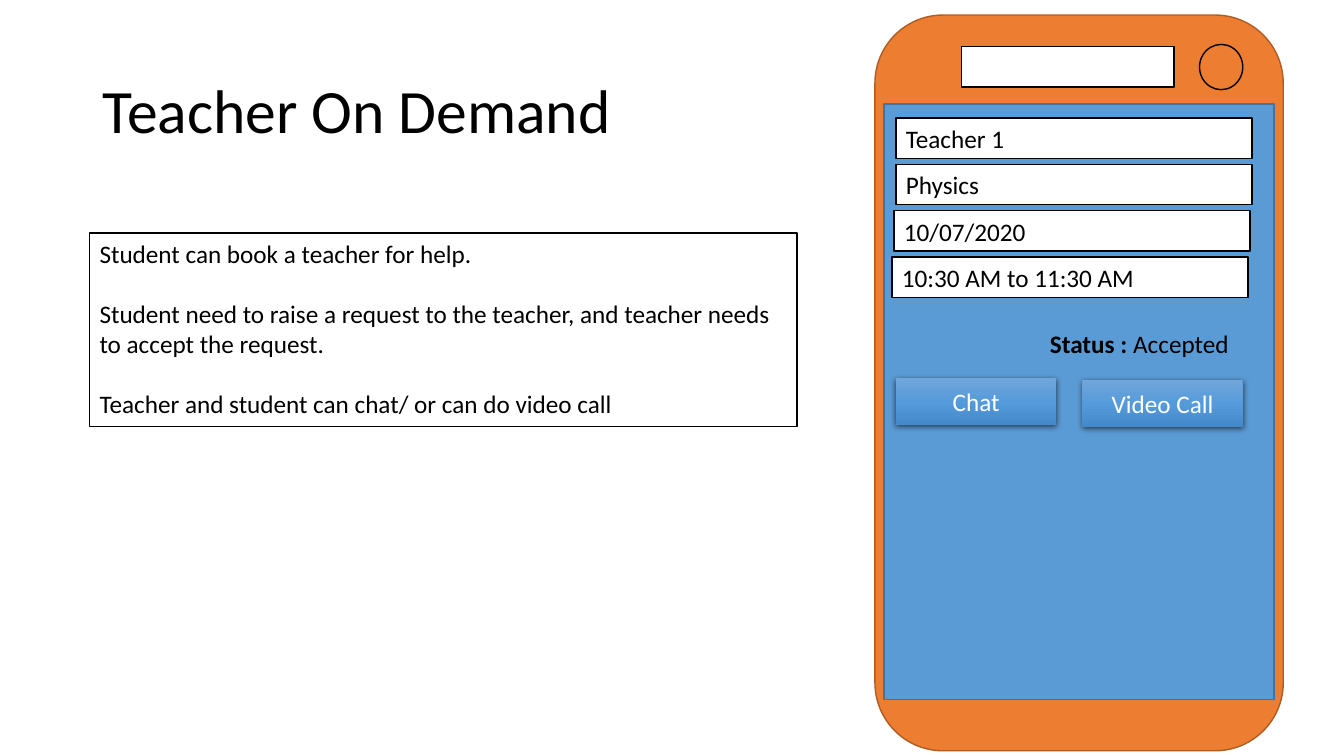
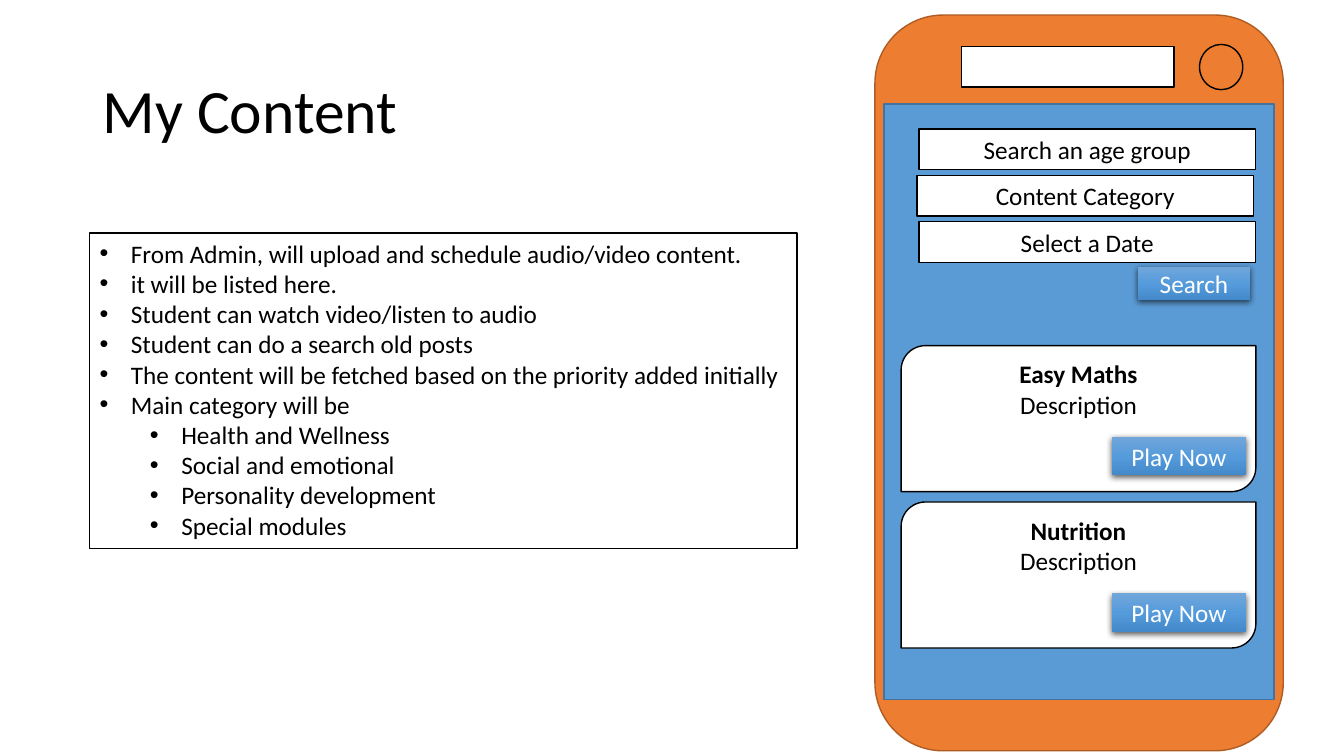
from lxml import etree
from copy import deepcopy
from pptx import Presentation
from pptx.dml.color import RGBColor
from pptx.enum.shapes import MSO_SHAPE as Shape
from pptx.enum.text import MSO_ANCHOR as Anchor, PP_ALIGN as Align
from pptx.oxml.ns import qn
from pptx.util import Cm, Pt

FONT = "Calibri"
COLORS = {
    "text": "000000", "line": "000000", "paper": "FFFFFF",
    "case": "ED7D31", "case_line": "AF5C24",
    "screen": "5B9BD5", "screen_line": "43739E",
    "button_top": "71A6DB", "button_mid": "559BDB", "button_end": "448ACA",
}
BODY_SIZE, LINE_PITCH = 18, 21.5
FIELD_HEIGHT, FIELD_PITCH = 1.02, 1.17
NOTE_BOX = (2.26, 5.87, 17.83)

# Boxes are (left, top, width, height) in centimetres.
TEACHER = {
    "title": "Teacher On Demand",
    "note_height": 4.88,
    "notes": [
        "Student can book a teacher for help.",
        "Student need to raise a request to the teacher, and teacher needs to accept the request.",
        "Teacher and student can chat/ or can do video call",
    ],
    "fields_top": 2.97, "field_width": 8.97, "field_align": Align.LEFT,
    "fields": [("Teacher 1", 22.58), ("Physics", 22.58), ("10/07/2020", 22.53),
               ("10:30 AM to 11:30 AM", 22.48)],
    "buttons": [("Chat", (22.58, 9.53, 4.04, 1.17)),
                ("Video Call", (27.28, 9.58, 4.04, 1.17))],
}
STATUS = ("Status :", " Accepted")

CONTENT = {
    "title": "My Content",
    "note_height": 7.95,
    "bullets": [
        (0, "From Admin, will upload and schedule audio/video content."),
        (0, "it will be listed here."),
        (0, "Student can watch video/listen to audio"),
        (0, "Student can do a search old posts"),
        (0, "The content will be fetched based on the priority added initially"),
        (0, "Main category will be"),
        (1, "Health and Wellness"),
        (1, "Social and emotional"),
        (1, "Personality development"),
        (1, "Special modules"),
    ],
    "fields_top": 3.25, "field_width": 8.48, "field_align": Align.CENTER,
    "fields": [("Search an age group", 23.16), ("Content Category", 23.11),
               ("Select a Date", 23.16)],
    "buttons": [("Search", (28.68, 6.73, 2.82, 0.84))],
}
CARDS = [("Easy Maths", "Description"), ("Nutrition", "Description")]


def color(name):
    return RGBColor.from_string(COLORS[name])


def format_text(paragraph, size=BODY_SIZE, name="text"):
    for run in paragraph.runs:
        run.font.name, run.font.size = FONT, Pt(size)
        run.font.color.rgb = color(name)


def write(shape, lines, align=Align.LEFT, anchor=Anchor.MIDDLE, size=BODY_SIZE, name="text"):
    """Fill the shape with one paragraph per line and return the paragraphs."""
    frame = shape.text_frame
    frame.word_wrap = True
    frame.vertical_anchor = anchor
    frame.text = "\n".join(lines)
    for paragraph in frame.paragraphs:
        paragraph.alignment = align
        format_text(paragraph, size, name)
    return frame.paragraphs


def add_box(slide, box, kind=Shape.RECTANGLE, fill="paper", line="line"):
    shape = slide.shapes.add_shape(kind, *map(Cm, box))
    shape.shadow.inherit = False
    shape.fill.solid()
    shape.fill.fore_color.rgb = color(fill)
    shape.line.color.rgb = color(line)
    shape.line.width = Pt(1)
    return shape


def add_shadow(shape):
    effects = shape._element.spPr.find(qn("a:effectLst"))
    shadow = etree.SubElement(effects, qn("a:outerShdw"), blurRad=str(Pt(4.5)),
                              dist=str(Pt(1.5)), dir="5400000", algn="ctr", rotWithShape="0")
    black = etree.SubElement(shadow, qn("a:srgbClr"), val=COLORS["line"])
    etree.SubElement(black, qn("a:alpha"), val="63000")


def add_button(slide, label, box):
    shape = add_box(slide, box)
    shape.line.fill.background()
    shape.fill.gradient()
    shape.fill.gradient_angle = 270
    stop_list = shape._element.spPr.find(".//" + qn("a:gsLst"))
    stop_list.insert(1, deepcopy(stop_list[0]))
    names = ("button_top", "button_mid", "button_end")
    for index, (stop, name) in enumerate(zip(shape.fill.gradient_stops, names)):
        stop.position = index / 2
        stop.color.rgb = color(name)
    add_shadow(shape)
    write(shape, [label], Align.CENTER, name="paper")


def add_phone(slide):
    add_box(slide, (22.05, 0.38, 10.29, 18.54), Shape.ROUNDED_RECTANGLE, "case", "case_line")
    add_box(slide, (24.23, 1.17, 5.36, 1.02))
    add_box(slide, (30.23, 1.12, 1.09, 1.14), Shape.OVAL, "case")
    add_box(slide, (22.28, 2.62, 9.83, 15.01), fill="screen", line="screen_line")


def add_bullet(paragraph, level):
    paragraph.level = level
    properties = paragraph._p.get_or_add_pPr()
    properties.set("marL", str(Cm(0.79 + 1.27 * level)))
    properties.set("indent", str(-Cm(0.79)))
    etree.SubElement(properties, qn("a:buFont"), typeface="Arial")
    etree.SubElement(properties, qn("a:buChar"), char="•")


def add_notes(slide, page):
    box = add_box(slide, (*NOTE_BOX, page["note_height"]))
    if "bullets" in page:
        levels, lines = zip(*page["bullets"])
        for paragraph, level in zip(write(box, lines, anchor=Anchor.TOP), levels):
            add_bullet(paragraph, level)
    else:
        for paragraph in write(box, page["notes"], anchor=Anchor.TOP)[1:]:
            paragraph.space_before = Pt(LINE_PITCH)


def add_page(presentation, page):
    """Add a slide with the parts that both screens share."""
    slide = presentation.slides.add_slide(presentation.slide_layouts[6])
    title = slide.shapes.add_textbox(*map(Cm, (2.34, 1.02, 29.21, 3.68)))
    write(title, [page["title"]], size=44)[0].line_spacing = 0.9
    add_phone(slide)
    add_notes(slide, page)
    for row, (label, left) in enumerate(page["fields"]):
        top = page["fields_top"] + row * FIELD_PITCH
        field = add_box(slide, (left, top, page["field_width"], FIELD_HEIGHT))
        write(field, [label], page["field_align"])
    for label, box in page["buttons"]:
        add_button(slide, label, box)
    return slide


def add_status(slide):
    box = slide.shapes.add_textbox(*map(Cm, (26.21, 8.15, 5.11, 1.02)))
    box.text_frame.word_wrap = True
    paragraph = box.text_frame.paragraphs[0]
    for text in STATUS:
        paragraph.add_run().text = text
    format_text(paragraph)
    paragraph.runs[0].font.bold = True


def add_cards(slide):
    for index, lines in enumerate(CARDS):
        top = 8.71 + index * 3.94
        card = add_box(slide, (22.71, top, 8.94, 3.68), Shape.ROUND_2_DIAG_RECTANGLE)
        card.text_frame.margin_top = Cm(0.15)
        heading = write(card, lines, Align.CENTER, Anchor.TOP)[0]
        heading.runs[0].font.bold = True
        add_button(slide, "Play Now", (28.02, top + 2.3, 3.38, 0.97))


def main():
    presentation = Presentation()
    presentation.slide_width, presentation.slide_height = Cm(33.87), Cm(19.05)
    add_status(add_page(presentation, TEACHER))
    add_cards(add_page(presentation, CONTENT))
    presentation.save("out.pptx")


if __name__ == "__main__":
    main()
